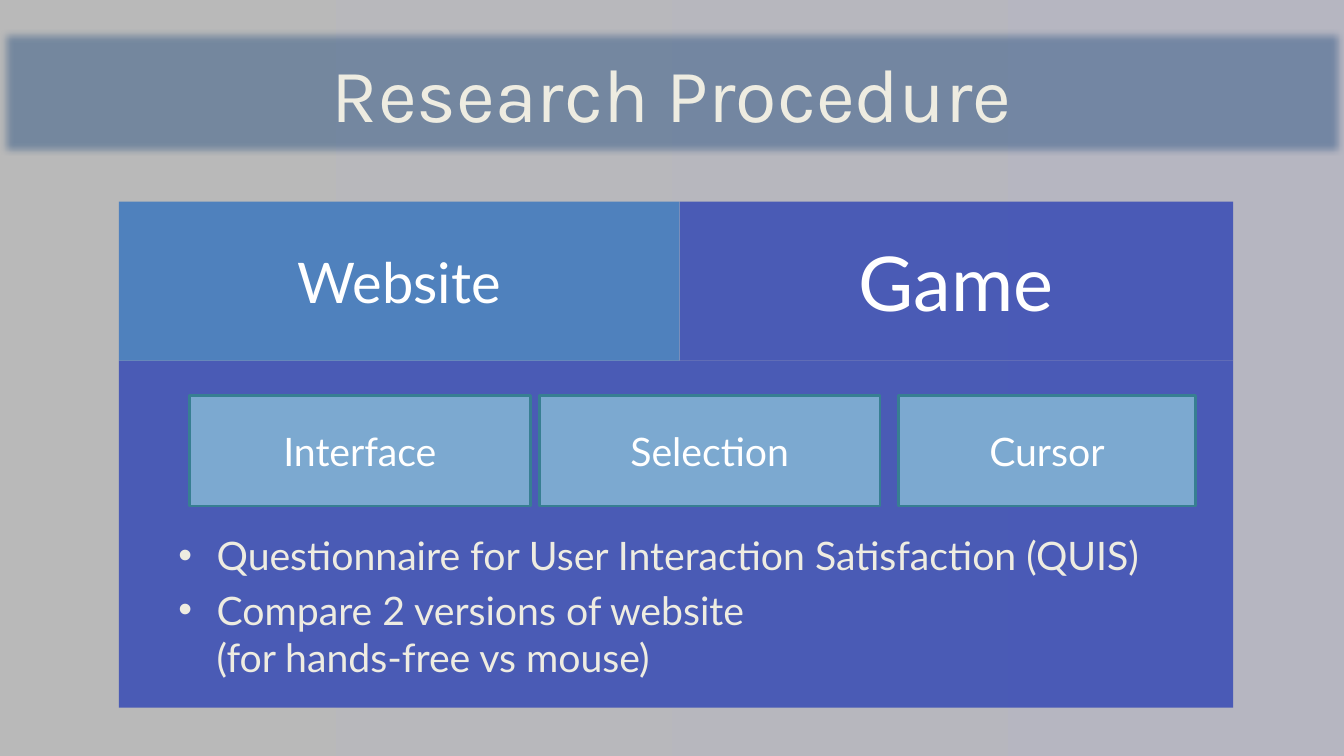
from lxml import etree
from pptx import Presentation, util as u
from pptx.dml.color import RGBColor
from pptx.enum import shapes, text
from pptx.oxml.ns import qn

HUES = {
    "grey": "B9B9B9", "lilac": "B6B6C1", "navy": "1F497D", "cream": "EEECE1",
    "indigo": "3F51B5", "blue": "4F81BD", "aqua": "93CDDD", "teal": "377F92",
    "white": "FFFFFF",
}


def rgb(hue):
    return RGBColor.from_string(HUES[hue])


class Deck:
    """Holds the style and the current slide; boxes are in percent of its size."""

    def __init__(self, wide, high):
        self.prs = Presentation()
        self.prs.slide_width = u.Inches(wide)
        self.prs.slide_height = u.Inches(high)
        self.slide = self.prs.slides.add_slide(self.prs.slide_layouts[5])

    def span(self, box):
        wide, high = self.prs.slide_width, self.prs.slide_height
        return [round(part * full / 100)
                for part, full in zip(box, (wide, high, wide, high))]

    def paint(self, shape, hue, alpha=100):
        shape.fill.solid()
        shape.fill.fore_color.rgb = rgb(hue)
        if alpha < 100:
            tint = next(shape._element.spPr.iter(qn("a:srgbClr")))
            etree.SubElement(tint, qn("a:alpha"), val=str(alpha * 1000))

    def rect(self, box):
        shape = self.slide.shapes.add_shape(
            shapes.MSO_SHAPE.RECTANGLE, *self.span(box))
        shape.shadow.inherit = False
        shape.line.fill.background()
        return shape

    def say(self, para, words, size, hue, face="Lato"):
        """Add the words as runs, one for each line."""
        for row, line in enumerate(words.split("\n")):
            if row:
                para.add_line_break()
            run = para.add_run()
            run.text = line
            run.font.size = u.Pt(size)
            run.font.name = face
            run.font.color.rgb = rgb(hue)

    def label(self, shape, words, size, hue="white", face="Lato"):
        frame = shape.text_frame
        frame.word_wrap = True
        frame.auto_size = text.MSO_AUTO_SIZE.NONE
        frame.vertical_anchor = text.MSO_ANCHOR.MIDDLE
        para = frame.paragraphs[0]
        para.alignment = text.PP_ALIGN.CENTER
        self.say(para, words, size, hue, face)

    def back(self, left, right):
        """Lay a left-to-right blend behind everything."""
        shape = self.rect((0, 0, 100, 100))
        shape.fill.gradient()
        shape.fill.gradient_angle = 0
        for stop, hue in zip(shape.fill.gradient_stops, (left, right)):
            stop.color.rgb = rgb(hue)
        self.slide.shapes._spTree.insert(2, shape._element)

    def title(self, box, words):
        shape = self.slide.shapes.title
        shape.left, shape.top, shape.width, shape.height = self.span(box)
        self.paint(shape, "navy", 44)
        glow = etree.SubElement(shape._element.spPr, qn("a:effectLst"))
        etree.SubElement(glow, qn("a:softEdge"), rad=str(u.Pt(5)))
        self.label(shape, words, 54, "cream", "Karla")

    def tile(self, box, words, size, hue, alpha=100):
        shape = self.rect(box)
        self.paint(shape, hue, alpha)
        self.label(shape, words, size)
        return shape

    def card(self, box, words):
        shape = self.tile(box, words, 28, "aqua", 69)
        shape.line.color.rgb = rgb("teal")
        shape.line.width = u.Pt(2)

    def panel(self, box, points):
        shape = self.rect(box)
        self.paint(shape, "indigo", 90)
        frame = shape.text_frame
        frame.word_wrap = True
        frame.vertical_anchor = text.MSO_ANCHOR.TOP
        frame.margin_left, frame.margin_top = u.Inches(0.59), u.Inches(1.69)
        for row, words in enumerate(points):
            para = frame.add_paragraph() if row else frame.paragraphs[0]
            para.alignment = text.PP_ALIGN.LEFT
            props = para._p.get_or_add_pPr()
            props.set("marL", str(u.Inches(0.38)))
            props.set("indent", str(u.Inches(-0.38)))
            etree.SubElement(props, qn("a:buFont"), typeface="Arial")
            etree.SubElement(props, qn("a:buChar"), char="•")
            if row:
                para.space_before = u.Pt(5.6)
            self.say(para, words, 28, "cream")


def main():
    deck = Deck(13.33, 7.5)
    deck.back("grey", "lilac")
    deck.title((0, 3.87, 100, 16.67), "Research Procedure")

    left, mid, right = 8.85, 50.56, 91.75
    top, split, base = 26.67, 47.7, 93.6
    deck.panel((left, split, right - left, base - split), [
        "Questionnaire for User Interaction Satisfaction (QUIS)",
        "Compare 2 versions of website\n(for hands-free vs mouse)",
    ])
    for start, width, words in ((14.1, 25.35, "Interface"),
                                (40.13, 25.35, "Selection"),
                                (66.83, 22.13, "Cursor")):
        deck.card((start, 52.27, width, 14.67), words)
    deck.tile((mid, top, right - mid, split - top), "Game", 54, "indigo", 90)
    deck.tile((left, top, mid - left, split - top), "Website", 40, "blue")
    deck.prs.save("out.pptx")


if __name__ == "__main__":
    main()
